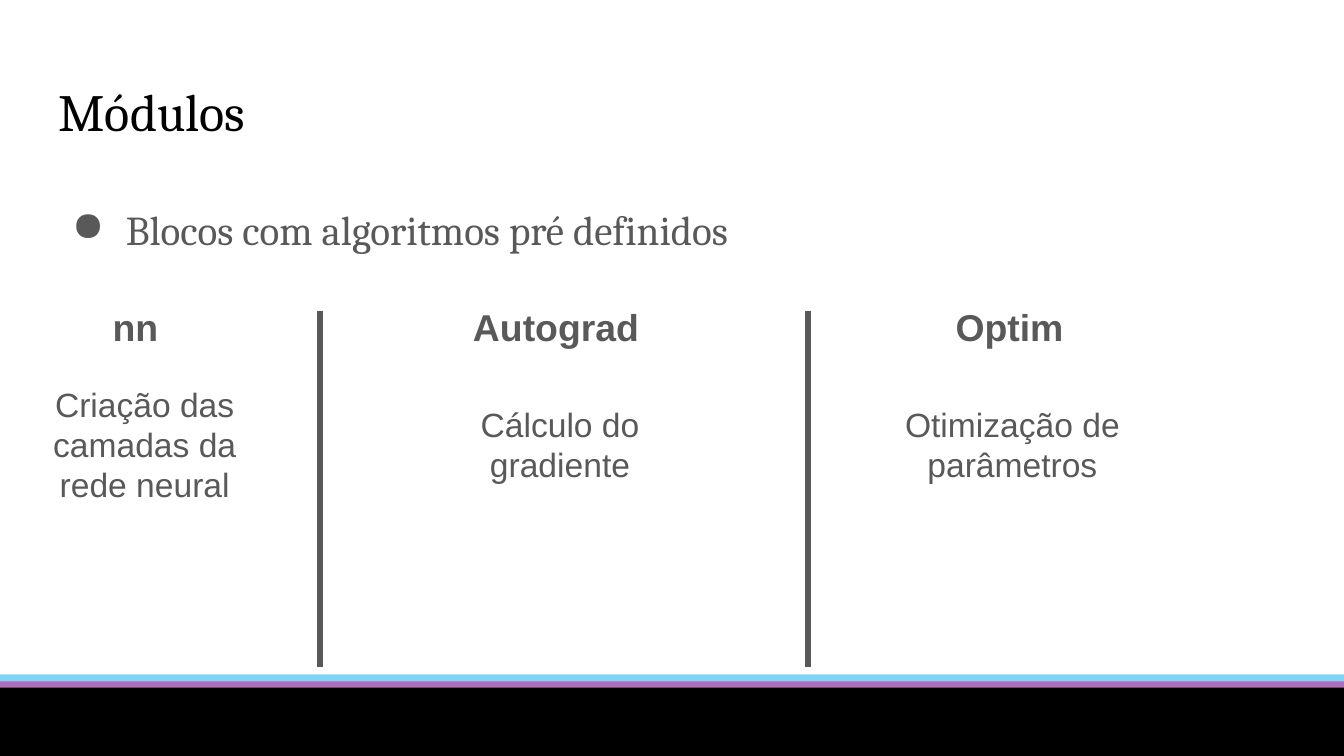
from lxml import etree
from pptx import Presentation
from pptx.dml.color import RGBColor
from pptx.enum.shapes import MSO_CONNECTOR, MSO_SHAPE
from pptx.enum.text import MSO_ANCHOR, PP_ALIGN
from pptx.oxml.ns import qn
from pptx.util import Cm, Pt

RECT = MSO_SHAPE.RECTANGLE
LINE = MSO_CONNECTOR.STRAIGHT
TOP, MIDDLE = MSO_ANCHOR.TOP, MSO_ANCHOR.MIDDLE
LEFT, CENTER = PP_ALIGN.LEFT, PP_ALIGN.CENTER

WIDE, HIGH = 25.4, 14.29
GREY = "595959"
PAD = 0.25

# Left edge of the text, heading's offset and width, heading, text
COLUMNS = [
    (0.41, 1.47, 2.49, "nn", "Criação das camadas da rede neural"),
    (8.26, 0.43, 4.5, "Autograd", "Cálculo do gradiente"),
    (16.81, 1.0, 3.38, "Optim", "Otimização de parâmetros"),
]
RULES = [6.05, 15.27]


def color(code):
    return RGBColor.from_string(code)


def add_text(slide, box, text, size, face="Arial", tint=GREY, bold=False,
             align=LEFT, anchor=TOP):
    """Add a one-paragraph text box and return the paragraph."""
    frame = slide.shapes.add_textbox(*map(Cm, box)).text_frame
    frame.word_wrap = True
    frame.vertical_anchor = anchor
    frame.margin_left = frame.margin_right = Cm(PAD)
    frame.margin_top = frame.margin_bottom = Cm(PAD)
    para = frame.paragraphs[0]
    para.text = text
    para.alignment = align
    font = para.font
    font.name, font.size, font.bold = face, Pt(size), bold
    font.color.rgb = color(tint)
    return para


def add_bullet(para):
    props = para._p.get_or_add_pPr()
    props.set("marL", str(Cm(1.27)))
    props.set("indent", str(-Cm(1.02)))
    tint = etree.Element(qn("a:buClr"))
    etree.SubElement(tint, qn("a:srgbClr"), val=GREY)
    mark = etree.Element(qn("a:buChar"), char="●")
    # Bullet marks come after the spacing and before the font
    spot = props.index(props.find(qn("a:defRPr")))
    props[spot:spot] = [tint, mark]


def add_band(slide, box, tint, alpha=100):
    band = slide.shapes.add_shape(RECT, *map(Cm, box))
    band.shadow.inherit = False
    band.fill.solid()
    band.fill.fore_color.rgb = color(tint)
    band.line.fill.background()
    if alpha < 100:
        code = band.fill._xPr.find(".//" + qn("a:srgbClr"))
        etree.SubElement(code, qn("a:alpha"), val=str(alpha * 1000))


def add_footer(slide, left, top, width, height):
    """Stack three bands, each a little lower than the one behind it."""
    bands = [(0, "00A9EC", 50), (0.13, "E3007B", 48), (0.25, "000000", 100)]
    for drop, tint, alpha in bands:
        add_band(slide, (left, top + drop, width, height - drop), tint, alpha)


def add_column(slide, left, top, shift, width, head, text):
    add_text(slide, (left + shift, top, width, 1.6), head, 20,
             bold=True, anchor=MIDDLE)
    add_text(slide, (left, top + 1.35, 4.65, 3.33), text, 18,
             align=CENTER, anchor=MIDDLE)


def add_rule(slide, x, top, height):
    rule = slide.shapes.add_connector(
        LINE, Cm(x), Cm(top), Cm(x), Cm(top + height))
    rule.line.color.rgb = color(GREY)
    rule.line.width = Pt(3)
    etree.SubElement(rule._element.spPr, qn("a:effectLst"))


def add_modules(slide, top):
    for left, shift, width, head, text in COLUMNS:
        add_column(slide, left, top, shift, width, head, text)
    for x in RULES:
        add_rule(slide, x, top + 0.49, 6.73)


def main():
    deck = Presentation()
    deck.slide_width, deck.slide_height = Cm(WIDE), Cm(HIGH)
    slide = deck.slides.add_slide(deck.slide_layouts[6])
    add_footer(slide, 0, 12.75, WIDE, HIGH - 12.75)
    add_text(slide, (0.86, 1.24, 23.67, 1.6), "Módulos", 28,
             "Cambria", "000000")
    para = add_text(slide, (0.86, 3.15, 23.67, 9.5),
                    "Blocos com algoritmos pré definidos", 22, "Cambria")
    para.line_spacing = 1.5
    add_bullet(para)
    add_modules(slide, 5.38)
    deck.save("out.pptx")


if __name__ == "__main__":
    main()
